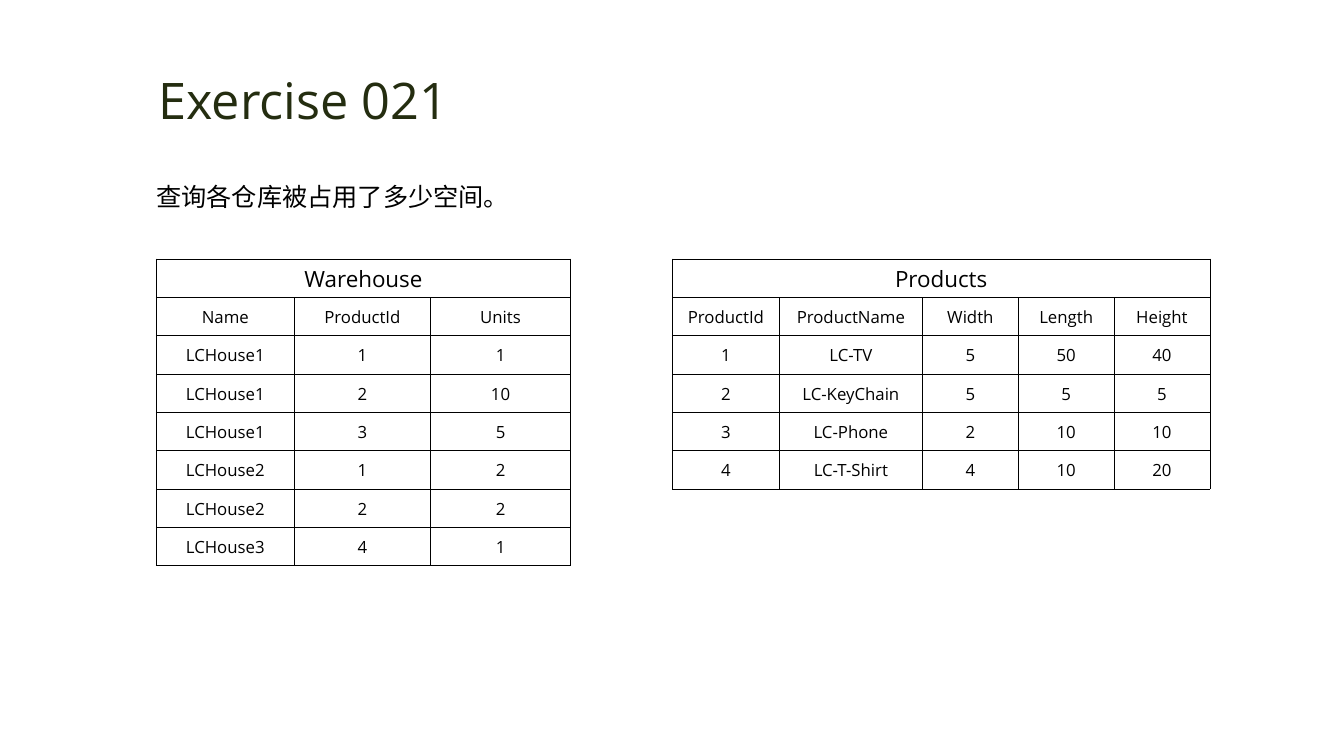
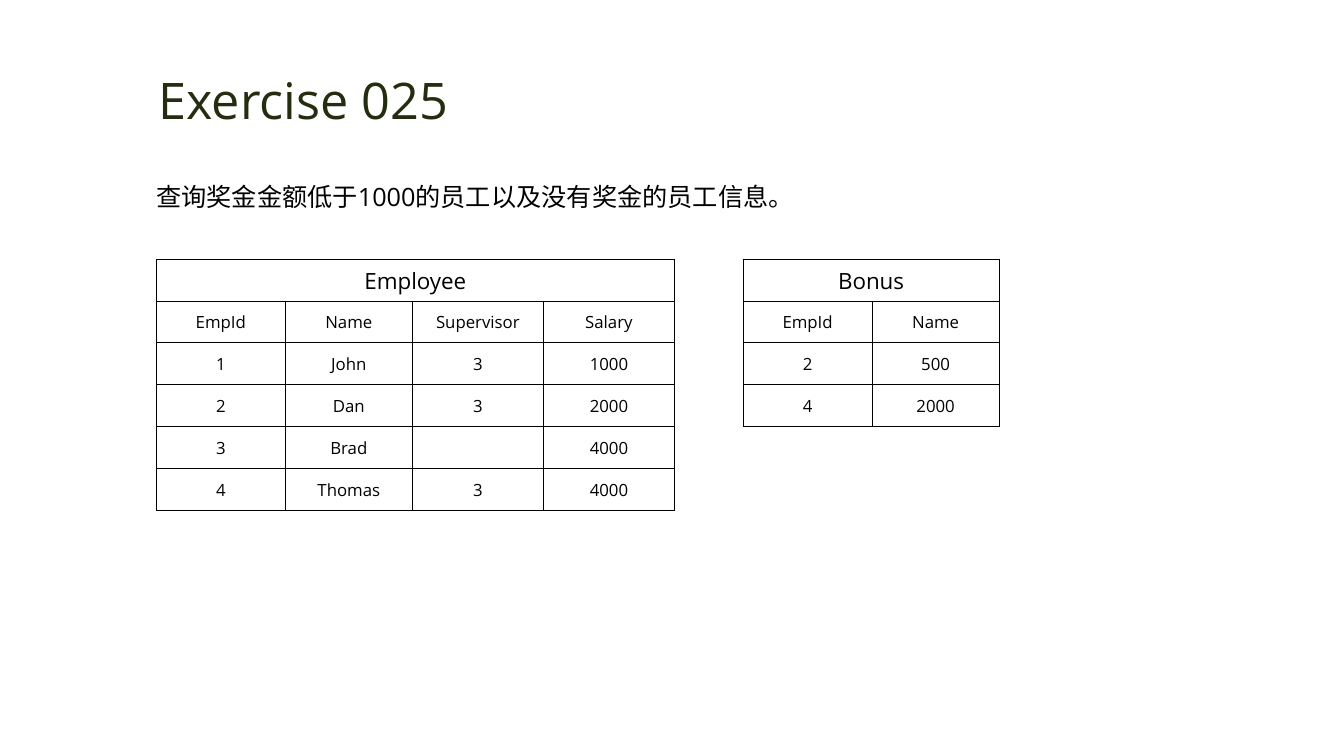
from dataclasses import dataclass

from lxml.etree import SubElement
from pptx import Presentation
from pptx.dml.color import RGBColor
from pptx.enum.lang import MSO_LANGUAGE_ID
from pptx.enum.text import MSO_ANCHOR, MSO_AUTO_SIZE, PP_ALIGN
from pptx.oxml.ns import qn
from pptx.util import Inches, Pt

FONT = "Open Sans"
BLACK = RGBColor(0x00, 0x00, 0x00)
WHITE = RGBColor(0xFF, 0xFF, 0xFF)
OLIVE = RGBColor(0x24, 0x2D, 0x10)
TABLE_TOP = 2.57
BORDER_WIDTH = Pt(0.5)


@dataclass
class DataTable:
    name: str
    left: float
    height: float
    column_widths: list[float]
    rows: list[list[str]]


@dataclass
class Exercise:
    title: str
    question: str
    question_width: float
    tables: list[DataTable]


EXERCISES = [
    Exercise("Exercise 021", "查询各仓库被占用了多少空间。", 5.23, [
        DataTable("Warehouse", 1.55, 3.04, [1.37, 1.35, 1.39], [
            ["Name", "ProductId", "Units"],
            ["LCHouse1", "1", "1"],
            ["LCHouse1", "2", "10"],
            ["LCHouse1", "3", "5"],
            ["LCHouse2", "1", "2"],
            ["LCHouse2", "2", "2"],
            ["LCHouse3", "4", "1"],
        ]),
        DataTable("Products", 6.67, 2.28, [1.06, 1.42, 0.95, 0.95, 0.95], [
            ["ProductId", "ProductName", "Width", "Length", "Height"],
            ["1", "LC-TV", "5", "50", "40"],
            ["2", "LC-KeyChain", "5", "5", "5"],
            ["3", "LC-Phone", "2", "10", "10"],
            ["4", "LC-T-Shirt", "4", "10", "20"],
        ]),
    ]),
    Exercise("Exercise 025", "查询奖金金额低于1000的员工以及没有奖金的员工信息。", 6.48, [
        DataTable("Employee", 1.55, 2.49, [1.28, 1.26, 1.3, 1.3], [
            ["EmpId", "Name", "Supervisor", "Salary"],
            ["1", "John", "3", "1000"],
            ["2", "Dan", "3", "2000"],
            ["3", "Brad", "", "4000"],
            ["4", "Thomas", "3", "4000"],
        ]),
        DataTable("Bonus", 7.37, 1.66, [1.28, 1.26], [
            ["EmpId", "Name"],
            ["2", "500"],
            ["4", "2000"],
        ]),
    ]),
]


def write(frame, text: str, size: int, color: RGBColor, align=PP_ALIGN.CENTER):
    """Put one formatted paragraph in the frame and return it."""
    frame.text = text
    para = frame.paragraphs[0]
    para.alignment = align
    for span in para.runs:
        span.font.name = FONT
        span.font.size = Pt(size)
        span.font.color.rgb = color
    return para


def place(box, left: float, top: float, width: float, height: float) -> None:
    box.left, box.top = Inches(left), Inches(top)
    box.width, box.height = Inches(width), Inches(height)
    box.text_frame.auto_size = MSO_AUTO_SIZE.NONE
    box.text_frame.vertical_anchor = MSO_ANCHOR.TOP


def add_heading(page, title: str, question: str, question_width: float) -> None:
    heading = page.shapes.title
    place(heading, 1.39, 0.64, 3.24, 0.71)
    heading.text_frame.word_wrap = False
    write(heading.text_frame, title, 36, OLIVE)

    body = page.placeholders[1]
    place(body, 1.45, 1.6, question_width, 0.51)
    para = write(body.text_frame, question, 18, BLACK, PP_ALIGN.LEFT)
    para.line_spacing = 1.5
    para.space_before = Pt(0)
    para.runs[0].font.language_id = MSO_LANGUAGE_ID.SIMPLIFIED_CHINESE
    # Plain text without bullet or indent
    properties = para._p.get_or_add_pPr()
    properties.set("marL", "0")
    properties.set("indent", "0")
    SubElement(properties, qn("a:buNone"))


def add_borders(cell) -> None:
    properties = cell._tc.get_or_add_tcPr()
    for side in ("lnL", "lnR", "lnT", "lnB"):
        line = SubElement(properties, qn(f"a:{side}"), w=str(BORDER_WIDTH))
        fill = SubElement(line, qn("a:solidFill"))
        SubElement(fill, qn("a:srgbClr"), val=str(BLACK))


def add_data_table(page, data: DataTable) -> None:
    row_count, column_count = len(data.rows) + 1, len(data.column_widths)
    table = page.shapes.add_table(
        row_count, column_count, Inches(data.left), Inches(TABLE_TOP),
        Inches(sum(data.column_widths)), Inches(data.height)).table
    table.first_row = table.horz_banding = False
    for column, width in zip(table.columns, data.column_widths):
        column.width = Inches(width)

    for cell in table.iter_cells():
        cell.margin_left = cell.margin_right = cell.margin_top = Inches(0.01)
        cell.margin_bottom = 0
        cell.vertical_anchor = MSO_ANCHOR.MIDDLE
        add_borders(cell)
        cell.fill.background()

    # Table name across the top, then the header and records
    name_cell = table.cell(0, 0)
    name_cell.merge(table.cell(0, column_count - 1))
    write(name_cell.text_frame, data.name, 16, BLACK)
    for row_index, row in enumerate(data.rows, start=1):
        for column_index, value in enumerate(row):
            write(table.cell(row_index, column_index).text_frame, value, 12, BLACK)


def main() -> None:
    deck = Presentation()
    deck.slide_width, deck.slide_height = Inches(13.33), Inches(7.5)
    background = deck.slide_master.background.fill
    background.solid()
    background.fore_color.rgb = WHITE
    for exercise in EXERCISES:
        page = deck.slides.add_slide(deck.slide_layouts[1])
        add_heading(page, exercise.title, exercise.question, exercise.question_width)
        for data in exercise.tables:
            add_data_table(page, data)
    deck.save("out.pptx")


if __name__ == "__main__":
    main()
